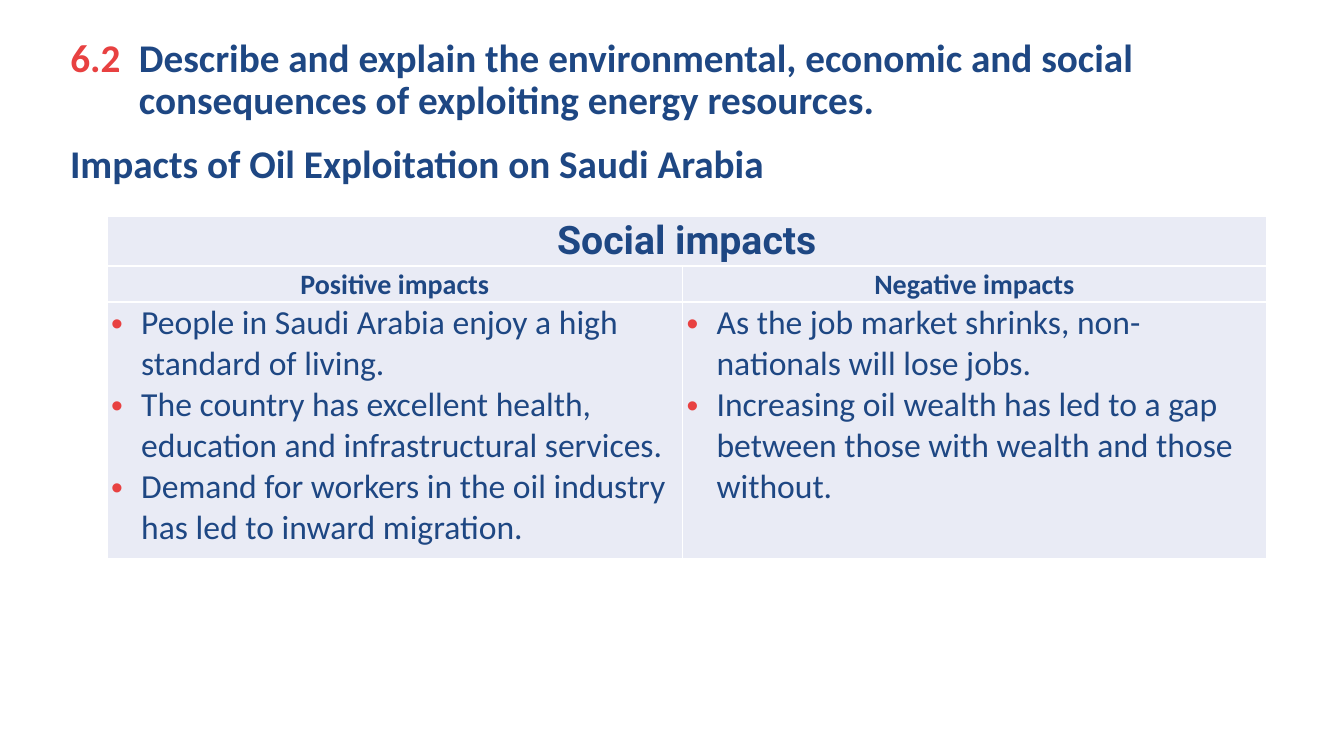
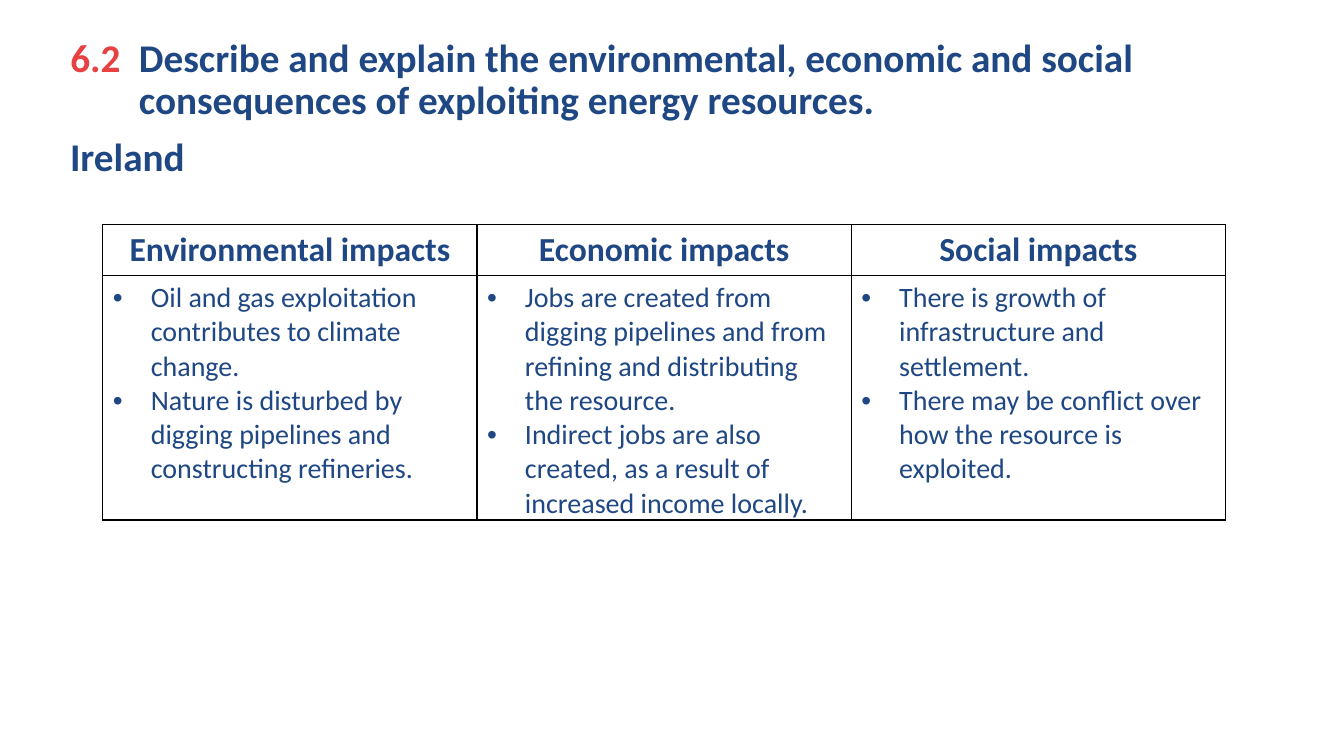
from lxml.etree import SubElement
from pptx import Presentation
from pptx.dml.color import RGBColor
from pptx.enum.text import MSO_ANCHOR, MSO_AUTO_SIZE, PP_ALIGN
from pptx.oxml.ns import qn
from pptx.util import Pt

BLUE, RED, PALE = "1E4783", "E84141", "E9EBF5"
WHITE, BLACK = "FFFFFF", "000000"
LEFT = 43
GOAL = ("Describe and explain the environmental, economic and social "
        "consequences of exploiting energy resources.")


def color(code):
    """Turn a hex string into a colour."""
    return RGBColor.from_string(code)


def style(para, size, bold=True, face="Calibri", code=BLUE):
    """Set the font of a whole paragraph."""
    font = para.font
    font.name, font.size, font.bold = face, Pt(size), bold
    if code:
        font.color.rgb = color(code)


def indent(para, width):
    """Give a paragraph a hanging indent and return its properties."""
    props = para._p.get_or_add_pPr()
    props.set("marL", str(Pt(width)))
    props.set("indent", str(-Pt(width)))
    return props


def bullet(para, width, code):
    """Add a hanging round bullet in the given colour."""
    props = indent(para, width)
    tint = SubElement(props, qn("a:buClr"))
    SubElement(tint, qn("a:srgbClr"), val=code)
    SubElement(props, qn("a:buFont"), typeface="Arial")
    SubElement(props, qn("a:buChar"), char="•")


def add_title(slide):
    """Place the numbered learning goal in the title."""
    title = slide.shapes.title
    title.left, title.top, title.width, title.height = map(Pt, (LEFT, 24, 917, 68))
    frame = title.text_frame
    frame.auto_size = MSO_AUTO_SIZE.NONE
    frame.vertical_anchor = MSO_ANCHOR.TOP
    para = frame.paragraphs[0]
    para.alignment = PP_ALIGN.LEFT
    para.line_spacing = 0.9
    para.space_before, para.space_after = Pt(0), Pt(18)
    indent(para, 49)
    style(para, 28, code=None)
    for text, code in (("6.2 \t", RED), (GOAL, BLUE)):
        run = para.add_run()
        run.text = text
        run.font.color.rgb = color(code)


def add_head(slide, text, top, width, height, wrap=True, space=None):
    """Add the heading under the title."""
    box = slide.shapes.add_textbox(Pt(LEFT), Pt(top), Pt(width), Pt(height))
    frame = box.text_frame
    frame.word_wrap = wrap
    para = frame.paragraphs[0]
    para.text = text
    para.line_spacing = space
    style(para, 28)


def add_grid(slide, left, top, cols, rows, line, fill=None):
    """Add a table with plain cells and even borders."""
    shape = slide.shapes.add_table(len(rows), len(cols), Pt(left), Pt(top),
                                   Pt(sum(cols)), Pt(sum(rows)))
    table = shape.table
    table.first_row = table.horz_banding = False
    for col, width in zip(table.columns, cols):
        col.width = Pt(width)
    for row, height in zip(table.rows, rows):
        row.height = Pt(height)
    for cell in table.iter_cells():
        props = cell._tc.get_or_add_tcPr()
        for side in ("lnL", "lnR", "lnT", "lnB"):
            edge = SubElement(props, qn(f"a:{side}"), w=str(Pt(1)))
            paint = SubElement(edge, qn("a:solidFill"))
            SubElement(paint, qn("a:srgbClr"), val=line)
        if fill:
            cell.fill.solid()
            cell.fill.fore_color.rgb = color(fill)
        else:
            cell.fill.background()
    return table


def inset(cell, side, top, bottom):
    """Set the margins of a cell."""
    cell.margin_left = cell.margin_right = Pt(side)
    cell.margin_top, cell.margin_bottom = Pt(top), Pt(bottom)


def label(cell, text, size, face="Calibri"):
    """Write a centred heading in a cell."""
    para = cell.text_frame.paragraphs[0]
    para.text = text
    para.alignment = PP_ALIGN.CENTER
    style(para, size, face=face)


def points(cell, items, size, width, code):
    """Write a bullet list in a cell."""
    cell.text = "\n".join(items)
    for para in cell.text_frame.paragraphs:
        bullet(para, width, code)
        style(para, size, bold=False)


def add_saudi(slide):
    """Build the slide on Saudi Arabia."""
    lists = {
        "Positive impacts": [
            "People in Saudi Arabia enjoy a high standard of living.",
            "The country has excellent health, education and infrastructural services.",
            "Demand for workers in the oil industry has led to inward migration."],
        "Negative impacts": [
            "As the job market shrinks, non-nationals will lose jobs.",
            "Increasing oil wealth has led to a gap between those with wealth "
            "and those without."],
    }
    add_title(slide)
    add_head(slide, "Impacts of Oil Exploitation on Saudi Arabia", 100, 828, 49, space=0.9)
    table = add_grid(slide, 76.5, 154.5, (411, 417), (35.5, 25.8, 183), WHITE, PALE)
    top = table.cell(0, 0)
    top.merge(table.cell(0, 1))
    label(top, "Social impacts", 28, "Roboto")
    for col, (name, items) in enumerate(lists.items()):
        label(table.cell(1, col), name, 20)
        points(table.cell(2, col), items, 24, 21.5, RED)
        for row in (0, 1):
            cell = table.cell(row, col)
            inset(cell, 0.7, 0.7, 0)
            cell.vertical_anchor = MSO_ANCHOR.MIDDLE
        inset(table.cell(2, col), 2.9, 0.7, 0)


def add_eire(slide):
    """Build the slide on Ireland."""
    lists = {
        "Environmental impacts": [
            "Oil and gas exploitation contributes to climate change.",
            "Nature is disturbed by digging pipelines and constructing refineries."],
        "Economic impacts": [
            "Jobs are created from digging pipelines and from refining and "
            "distributing the resource.",
            "Indirect jobs are also created, as a result of increased income locally."],
        "Social impacts": [
            "There is growth of infrastructure and settlement.",
            "There may be conflict over how the resource is exploited."],
    }
    add_title(slide)
    add_head(slide, "Ireland", 91, 97, 41, wrap=False)
    table = add_grid(slide, 73.5, 160.5, [267.3] * 3, (36.5, 174.5), BLACK)
    for col, (name, items) in enumerate(lists.items()):
        label(table.cell(0, col), name, 24)
        body = table.cell(1, col)
        points(body, items, 20, 27, BLUE)
        inset(body, 7.2, 3.6, 0)


def main():
    """Build and save the deck."""
    deck = Presentation()
    deck.slide_width, deck.slide_height = Pt(960), Pt(540)
    for build in (add_saudi, add_eire):
        build(deck.slides.add_slide(deck.slide_layouts[5]))
    deck.save("out.pptx")


if __name__ == "__main__":
    main()
